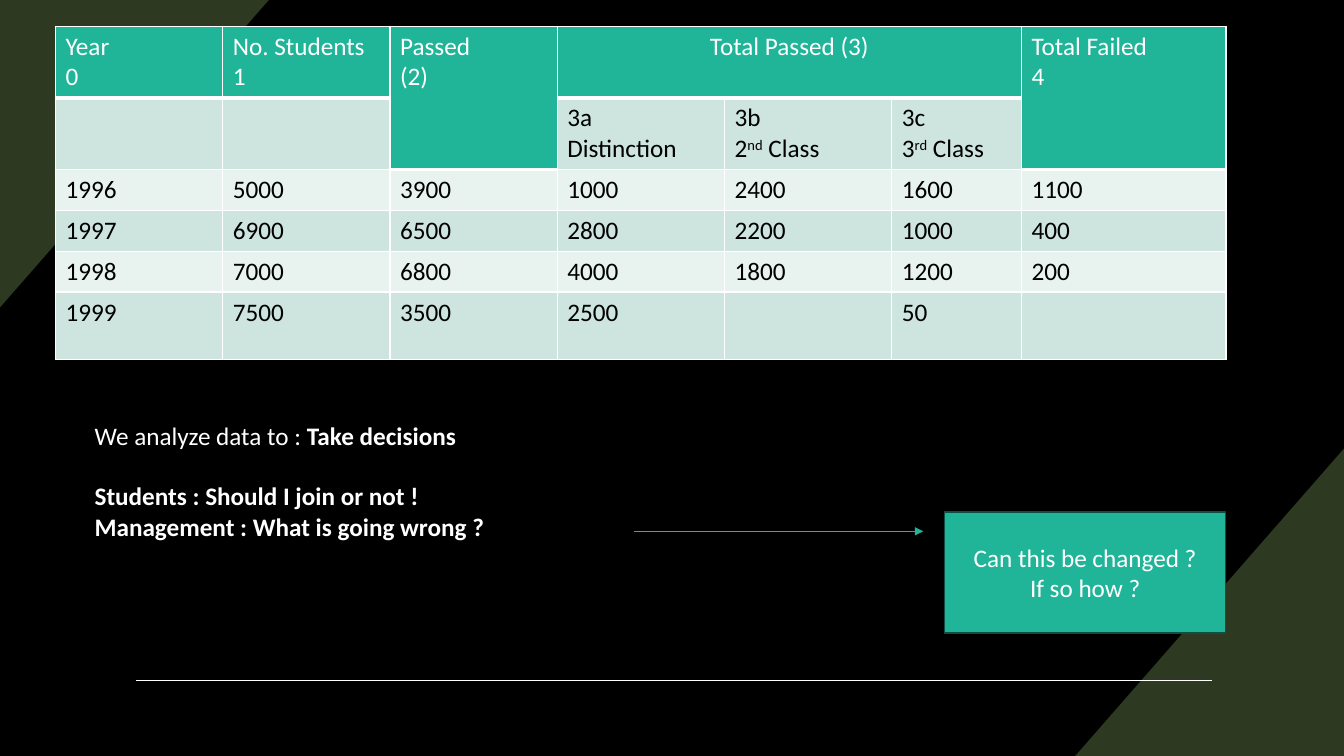
from lxml.etree import SubElement
from pptx import Presentation
from pptx.dml.color import RGBColor
from pptx.enum.shapes import MSO_CONNECTOR, MSO_SHAPE
from pptx.enum.text import MSO_ANCHOR, PP_ALIGN
from pptx.oxml.ns import qn
from pptx.util import Pt

COLORS = {
    "background": "000000", "corner": "2D3920", "white": "FFFFFF", "black": "000000",
    "teal": "20B599", "teal_dark": "0E4F43", "band_dark": "CDE5DE", "band_light": "E8F3EF",
}
COLUMN_WIDTHS = [119.5] * 5 + [92.7, 146]
ROW_HEIGHTS = [51, 51, 29.2, 29.2, 29.2, 48]
RESULTS = [
    ["Year\n0", "No. Students\n1", "Passed\n(2)", "Total Passed (3)", "", "", "Total Failed\n4"],
    ["", "", "", "3a\nDistinction", "3b\n2^nd^ Class", "3c\n3^rd^ Class", ""],
    ["1996", "5000", "3900", "1000", "2400", "1600", "1100"],
    ["1997", "6900", "6500", "2800", "2200", "1000", "400"],
    ["1998", "7000", "6800", "4000", "1800", "1200", "200"],
    ["1999", "7500", "3500", "2500", "", "50", ""],
]
MERGES = [(0, 2, 1, 2), (0, 3, 0, 5), (0, 6, 1, 6)]


def color(name):
    """Return the named colour."""
    return RGBColor.from_string(COLORS[name])


def fill_solid(part, name):
    """Fill a shape, cell or background with the named colour."""
    part.fill.solid()
    part.fill.fore_color.rgb = color(name)


def format_paragraph(paragraph, color_name, bold=False, align=PP_ALIGN.LEFT):
    """Apply the slide's common type to a paragraph."""
    paragraph.alignment = align
    font = paragraph.font
    font.name, font.size, font.bold = "Calibri", Pt(18), bold
    font.color.rgb = color(color_name)


def write_lines(frame, text, color_name, align=PP_ALIGN.LEFT):
    """Write one paragraph per line, raising the parts between carets."""
    for index, line in enumerate(text.split("\n")):
        paragraph = frame.paragraphs[0] if index == 0 else frame.add_paragraph()
        for position, part in enumerate(line.split("^")):
            run = paragraph.add_run()
            run.text = part
            if position % 2:
                run._r.get_or_add_rPr().set("baseline", "30000")
        format_paragraph(paragraph, color_name, align=align)


def set_borders(cell, top, bottom):
    """Draw white cell borders, with the given top and bottom widths."""
    properties = cell._tc.get_or_add_tcPr()
    for side, width in (("L", 1), ("R", 1), ("T", top), ("B", bottom)):
        border = SubElement(properties, qn(f"a:ln{side}"), w=str(Pt(width)))
        border_fill = SubElement(border, qn("a:solidFill"))
        SubElement(border_fill, qn("a:srgbClr"), val=COLORS["white"])


def add_line(slide, left, top, width, color_name, weight):
    """Add a horizontal line without shadow."""
    line = slide.shapes.add_connector(
        MSO_CONNECTOR.STRAIGHT, Pt(left), Pt(top), Pt(left + width), Pt(top))
    line.line.color.rgb = color(color_name)
    line.line.width = Pt(weight)
    SubElement(line._element.spPr, qn("a:effectLst"))
    return line


def add_corner(slide, x, y, dx, dy):
    """Add a right triangle whose square corner is at x, y."""
    builder = slide.shapes.build_freeform(Pt(x), Pt(y))
    builder.add_line_segments([(Pt(x + dx), Pt(y)), (Pt(x), Pt(y + dy))], close=True)
    corner = builder.convert_to_shape()
    corner.shadow.inherit = False
    fill_solid(corner, "corner")
    corner.line.fill.background()


def add_backdrop(slide, width, height):
    """Add the black ground, corner triangles and footer rule."""
    fill_solid(slide.background, "background")
    add_corner(slide, width, height, -192, -219.6)
    add_corner(slide, 0, 0, 192, 219.6)
    add_line(slide, 97.2, height - 54, 768.2, "white", 1)


def add_results(slide, left, top):
    """Add the table of yearly results."""
    table = slide.shapes.add_table(
        len(ROW_HEIGHTS), len(COLUMN_WIDTHS), Pt(left), Pt(top),
        Pt(sum(COLUMN_WIDTHS)), Pt(sum(ROW_HEIGHTS))).table
    table.first_row = table.horz_banding = False
    for column, width in zip(table.columns, COLUMN_WIDTHS):
        column.width = Pt(width)
    for row, height in zip(table.rows, ROW_HEIGHTS):
        row.height = Pt(height)
    for first_row, first_column, last_row, last_column in MERGES:
        table.cell(first_row, first_column).merge(table.cell(last_row, last_column))

    def is_header(r, c):
        return r == 0 or table.cell(r, c).is_spanned

    for r, row in enumerate(RESULTS):
        for c, text in enumerate(row):
            cell = table.cell(r, c)
            header = is_header(r, c)
            below_header = r > 0 and not header and is_header(r - 1, c)
            set_borders(cell, 3 if below_header else 1, 3 if header else 1)
            fill_solid(cell, "teal" if header else "band_dark" if r % 2 else "band_light")
            if text:
                align = PP_ALIGN.CENTER if text.startswith("Total Passed") else PP_ALIGN.LEFT
                write_lines(cell.text_frame, text, "white" if header else "black", align)


def add_decisions(slide, left, top, width, height):
    """Add the reasons for analysing the data."""
    frame = slide.shapes.add_textbox(Pt(left), Pt(top), Pt(width), Pt(height)).text_frame
    frame.word_wrap = True
    purpose = frame.paragraphs[0]
    purpose.add_run().text = "We analyze data to : "
    decision = purpose.add_run()
    decision.text = "Take decisions"
    decision.font.bold = True
    format_paragraph(purpose, "white")
    for question, gap in (("Students : Should I join or not !", 21.6),
                          ("Management : What is going wrong ?", 0)):
        paragraph = frame.add_paragraph()
        paragraph.text = question
        paragraph.space_before = Pt(gap)
        format_paragraph(paragraph, "white", bold=True)


def add_follow_up(slide, left, top, width, height):
    """Add the follow-up question and the arrow leading to it."""
    arrow = add_line(slide, left - 221.8, top + 13.7, 206.6, "teal", 0.5)
    SubElement(arrow.line._get_or_add_ln(), qn("a:tailEnd"), type="triangle")
    question = slide.shapes.add_shape(
        MSO_SHAPE.RECTANGLE, Pt(left), Pt(top), Pt(width), Pt(height))
    question.shadow.inherit = False
    fill_solid(question, "teal")
    question.line.color.rgb = color("teal_dark")
    question.line.width = Pt(1)
    question.text_frame.word_wrap = True
    question.text_frame.vertical_anchor = MSO_ANCHOR.MIDDLE
    write_lines(question.text_frame, "Can this be changed ?\nIf so how ?", "white", PP_ALIGN.CENTER)


def main():
    """Build and save the slide."""
    presentation = Presentation()
    presentation.slide_width, presentation.slide_height = Pt(960), Pt(540)
    slide = presentation.slides.add_slide(presentation.slide_layouts[6])
    add_backdrop(slide, 960, 540)
    add_results(slide, 39.6, 18.7)
    add_decisions(slide, 60.5, 296.6, 419, 116.6)
    add_follow_up(slide, 674.7, 365.8, 200.9, 86.4)
    presentation.save("out.pptx")


if __name__ == "__main__":
    main()
